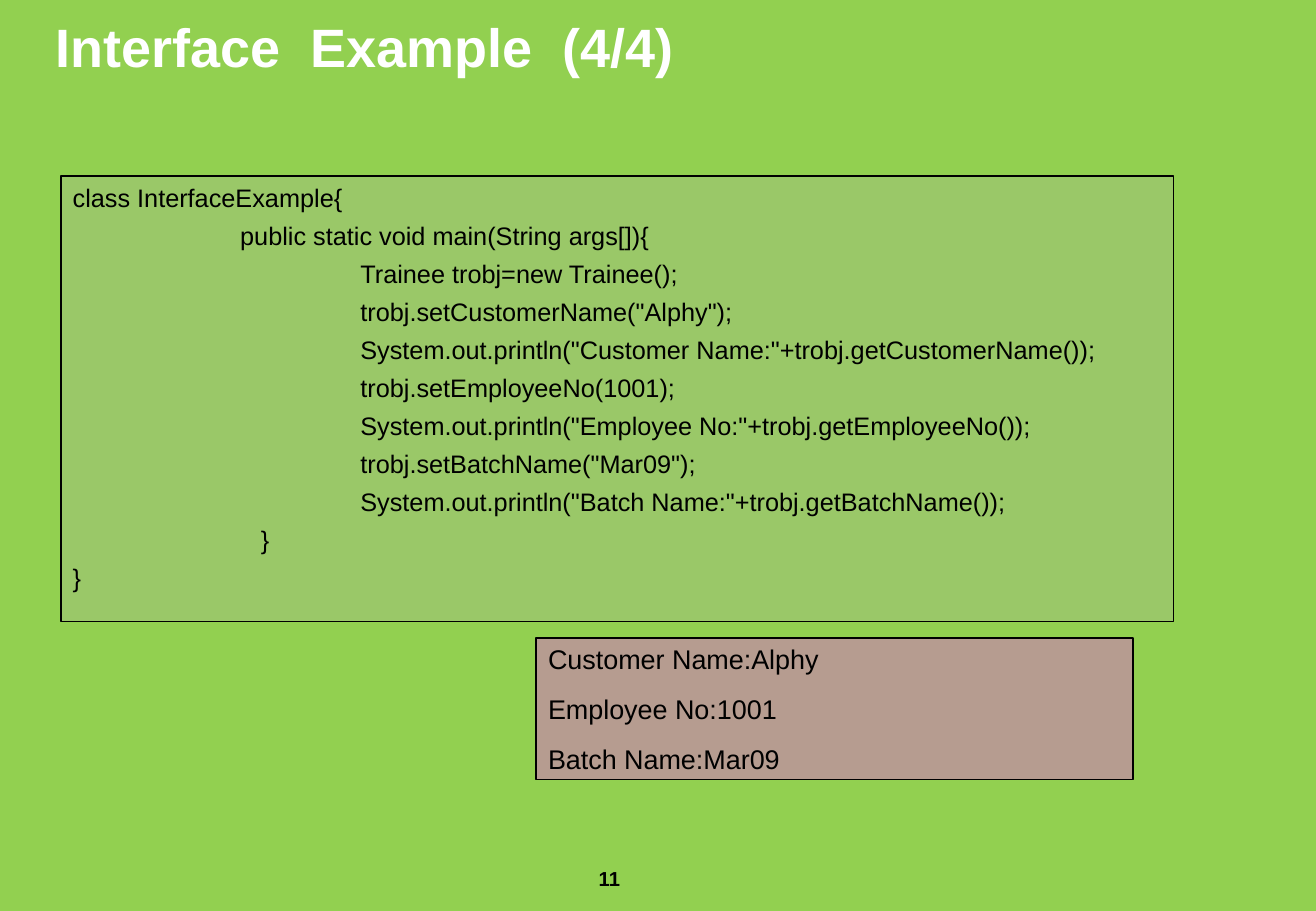
from lxml.etree import SubElement
from pptx import Presentation
from pptx.dml.color import RGBColor
from pptx.enum.shapes import MSO_SHAPE as SHAPE
from pptx.enum.text import MSO_ANCHOR as ANCHOR, PP_ALIGN as ALIGN
from pptx.oxml.ns import qn
from pptx.util import Inches, Pt

COLORS = {
    "background": "92D050",
    "title": "FFFFFF",
    "text": "000000",
    "code": "B2B2B2",
    "output": "B69C90",
}
CELL = 1 / 12  # grid step in inches
INDENTS = {"class": 0, "method": 1.38, "method_end": 1.55, "body": 2.37}

CODE = [
    ("class", "class InterfaceExample{"),
    ("method", "public static void main(String args[]){"),
    ("body", "Trainee trobj=new Trainee();"),
    ("body", 'trobj.setCustomerName("Alphy");'),
    ("body", 'System.out.println("Customer Name:"+trobj.getCustomerName());'),
    ("body", "trobj.setEmployeeNo(1001);"),
    ("body", 'System.out.println("Employee No:"+trobj.getEmployeeNo());'),
    ("body", 'trobj.setBatchName("Mar09");'),
    ("body", 'System.out.println("Batch Name:"+trobj.getBatchName());'),
    ("method_end", "}"),
    ("class", "}"),
]
OUTPUT = ["Customer Name:Alphy", "Employee No:1001", "Batch Name:Mar09"]


def color(name):
    return RGBColor.from_string(COLORS[name])


class SlideBuilder:
    font = "Arial"

    def __init__(self, prs):
        self.slide = prs.slides.add_slide(prs.slide_layouts[5])
        fill = self.slide.background.fill
        fill.solid()
        fill.fore_color.rgb = color("background")

    def place(self, *cells):
        """Turn left, top, width and height in grid cells into lengths."""
        return [Inches(n * CELL) for n in cells]

    def add_lines(self, sp, lines, size, ink="text", bold=False, gap=0,
                  anchor=ANCHOR.TOP):
        """Fill a shape with (indent in inches, text) lines."""
        tf = sp.text_frame
        tf.word_wrap = True
        tf.vertical_anchor = anchor
        for i, (indent, text) in enumerate(lines):
            p = tf.add_paragraph() if i else tf.paragraphs[0]
            p.alignment = ALIGN.LEFT
            p.space_before = Pt(gap)
            if indent:
                p._p.get_or_add_pPr().set("marL", str(Inches(indent)))
            r = p.add_run()
            r.text = text
            r.font.name = self.font
            r.font.size = Pt(size)
            r.font.bold = bold
            r.font.color.rgb = color(ink)

    def title(self, text, cells):
        sp = self.slide.shapes.title
        sp.left, sp.top, sp.width, sp.height = self.place(*cells)
        sp.text_frame.margin_top = Inches(0.1)
        self.add_lines(sp, [(0, text)], 32, "title", bold=True)

    def label(self, text, cells, size):
        sp = self.slide.shapes.add_textbox(*self.place(*cells))
        self.add_lines(sp, [(0, text)], size, bold=True)

    def box(self, lines, cells, fill, size, gap, opacity=100,
            anchor=ANCHOR.TOP):
        sp = self.slide.shapes.add_shape(SHAPE.RECTANGLE, *self.place(*cells))
        sp.shadow.inherit = False
        sp.fill.solid()
        sp.fill.fore_color.rgb = color(fill)
        if opacity < 100:
            rgb = sp._element.spPr.find(qn("a:solidFill"))[0]
            SubElement(rgb, qn("a:alpha"), val=str(opacity * 1000))
        sp.line.color.rgb = color("text")
        sp.line.width = Pt(1)
        self.add_lines(sp, lines, size, gap=gap, anchor=anchor)


def main():
    prs = Presentation()
    prs.slide_width, prs.slide_height = Inches(10.84), Inches(7.5)
    s = SlideBuilder(prs)
    s.label("11", (58, 85, 11, 6.2), 12)
    s.title("Interface  Example  (4/4)", (4.3, 0.1, 106, 12.7))
    s.box([(INDENTS[level], text) for level, text in CODE],
          (6, 17.4, 110, 44), "code", 15, gap=4.5, opacity=25)
    s.box([(0, text) for text in OUTPUT],
          (53, 63, 59, 14), "output", 16, gap=10.5, anchor=ANCHOR.MIDDLE)
    prs.save("out.pptx")


if __name__ == "__main__":
    main()
